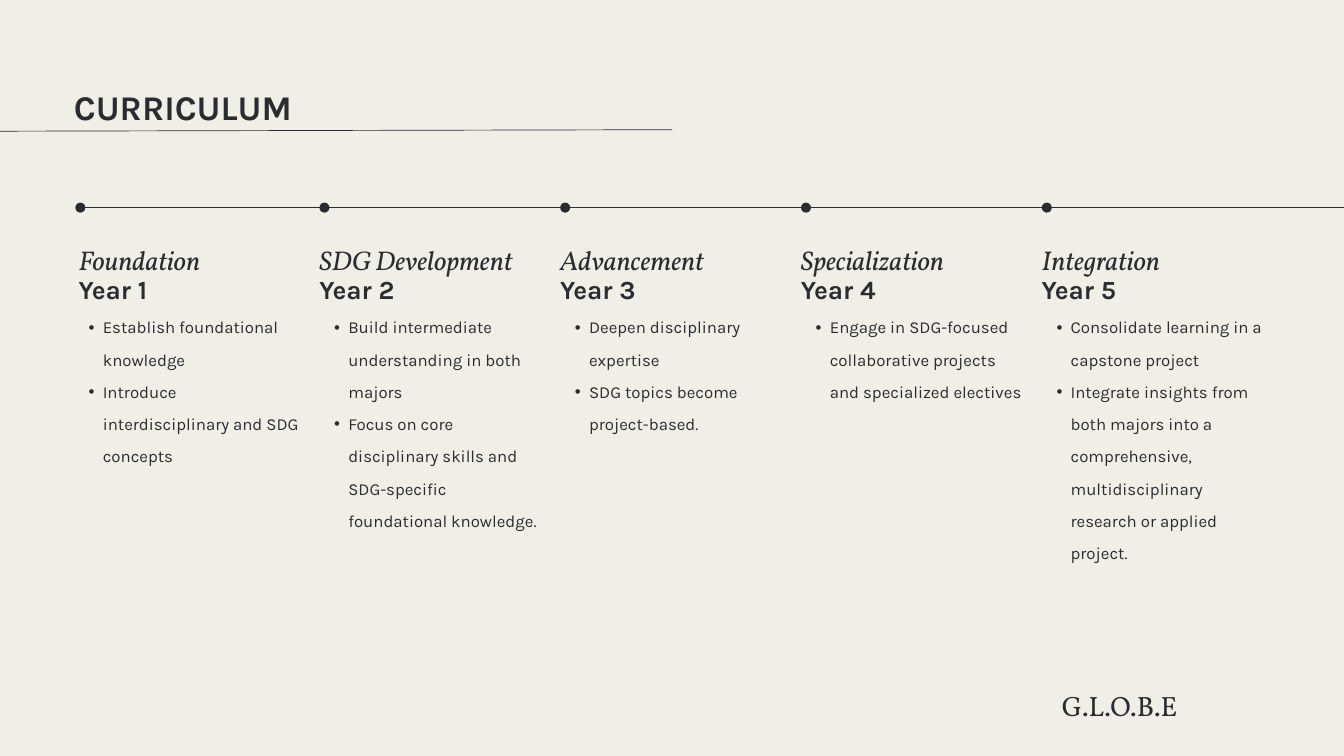
from lxml import etree
from pptx import Presentation
from pptx import util as u
from pptx.dml.color import RGBColor
from pptx.enum import shapes, text
from pptx.oxml.ns import qn

INK = RGBColor(0x2B, 0x2C, 0x30)
PAPER = RGBColor(0xEF, 0xEE, 0xE7)
SANS, SERIF = "Karla", "Vollkorn"

WIDTH, HEIGHT = 20, 11.25
FIRST_COLUMN, COLUMN_STEP = 1.17, 3.583
COLUMN_WIDTH, HEADING_HEIGHT = 3.38, 0.47
STAGE_TOP, YEAR_TOP, BULLETS_TOP = 3.52, 3.98, 4.54
TIMELINE_Y, DOT_SIZE = 3.09, 0.15
OUTDENT = 0.07  # first column's bullets start left of its heading
DOT_OUTDENT = 0.05

YEARS = [
    ("Foundation", ["Establish foundational knowledge",
                    "Introduce interdisciplinary and SDG concepts"]),
    ("SDG Development", ["Build intermediate understanding in both majors",
                         "Focus on core disciplinary skills and SDG-specific "
                         "foundational knowledge."]),
    ("Advancement", ["Deepen disciplinary expertise",
                     "SDG topics become project-based."]),
    ("Specialization", ["Engage in SDG-focused collaborative projects and "
                        "specialized electives"]),
    ("Integration", ["Consolidate learning in a capstone project",
                     "Integrate insights from both majors into a comprehensive, "
                     "multidisciplinary research or applied project."]),
]


def place(shape, left, top, width, height):
    shape.left, shape.top = u.Inches(left), u.Inches(top)
    shape.width, shape.height = u.Inches(width), u.Inches(height)


def add_bullet(para):
    para.level = 1
    properties = para._p.get_or_add_pPr()
    properties.set("marL", str(u.Inches(0.43)))
    properties.set("indent", str(u.Inches(-0.21)))
    color = etree.SubElement(properties, qn("a:buClr"))
    etree.SubElement(color, qn("a:srgbClr"), val=str(INK))
    etree.SubElement(properties, qn("a:buFont"), typeface="Arial")
    etree.SubElement(properties, qn("a:buChar"), char="•")


def write(shape, lines, size, face, spacing, bold=False, italic=False, bullets=False):
    """Fill a shape with one paragraph per line, all in one style."""
    frame = shape.text_frame
    frame.word_wrap = True
    frame.auto_size = text.MSO_AUTO_SIZE.NONE
    frame.vertical_anchor = text.MSO_ANCHOR.TOP
    frame.margin_left = frame.margin_right = frame.margin_top = frame.margin_bottom = 0
    frame.text = "\n".join(lines)
    for para in frame.paragraphs:
        if bullets:
            add_bullet(para)
        para.alignment = text.PP_ALIGN.LEFT
        para.line_spacing = spacing
        font = para.font
        font.name, font.size = face, u.Pt(size)
        font.bold, font.italic = bold, italic
        font.color.rgb = INK


def add_text(slide, box, lines, size, face, spacing, **style):
    shape = slide.shapes.add_textbox(0, 0, 0, 0)
    place(shape, *box)
    write(shape, lines, size, face, spacing, **style)


def add_line(slide, *ends):
    line = slide.shapes.add_connector(
        shapes.MSO_CONNECTOR.STRAIGHT, *[u.Inches(end) for end in ends])
    line.line.color.rgb = INK
    line.line.width = u.Pt(0.75)
    etree.SubElement(line._element.spPr, qn("a:effectLst"))


def add_dot(slide, left):
    dot = slide.shapes.add_shape(shapes.MSO_SHAPE.OVAL, 0, 0, 0, 0)
    place(dot, left, TIMELINE_Y - DOT_SIZE / 2, DOT_SIZE, DOT_SIZE)
    dot.shadow.inherit = False
    dot.fill.solid()
    dot.fill.fore_color.rgb = INK
    dot.line.fill.background()


def add_year(slide, index, stage, goals):
    left = FIRST_COLUMN + index * COLUMN_STEP
    first = index == 0
    add_text(slide, (left, STAGE_TOP, COLUMN_WIDTH, HEADING_HEIGHT),
             [stage], 29, SERIF, 1.2, italic=True)
    add_text(slide, (left, YEAR_TOP, COLUMN_WIDTH, HEADING_HEIGHT),
             [f"Year {index + 1}"], 28, SANS, 1.2, bold=True)
    add_text(slide, (left - OUTDENT * first, BULLETS_TOP, COLUMN_WIDTH, 3.14),
             goals, 18, SANS, 1.6, bullets=True)
    add_dot(slide, left - DOT_OUTDENT * first)


def main():
    deck = Presentation()
    deck.slide_width, deck.slide_height = u.Inches(WIDTH), u.Inches(HEIGHT)
    slide = deck.slides.add_slide(deck.slide_layouts.get_by_name("Title Only"))
    slide.background.fill.solid()
    slide.background.fill.fore_color.rgb = PAPER

    title = slide.shapes.title
    place(title, 1.1, 1.03, 17.75, 0.71)
    write(title, ["CURRICULUM"], 37.1, SANS, 1.4, bold=True)
    add_line(slide, -7.75, 1.97, WIDTH / 2, 1.93)

    for index, (stage, goals) in enumerate(YEARS):
        add_year(slide, index, stage, goals)
    add_line(slide, 1.23, TIMELINE_Y, 20.26, TIMELINE_Y)
    add_text(slide, (15.8, 10.3, 2.42, 0.46), ["G.L.O.B.E"], 29.9, SERIF, 0.91)
    deck.save("out.pptx")


if __name__ == "__main__":
    main()
